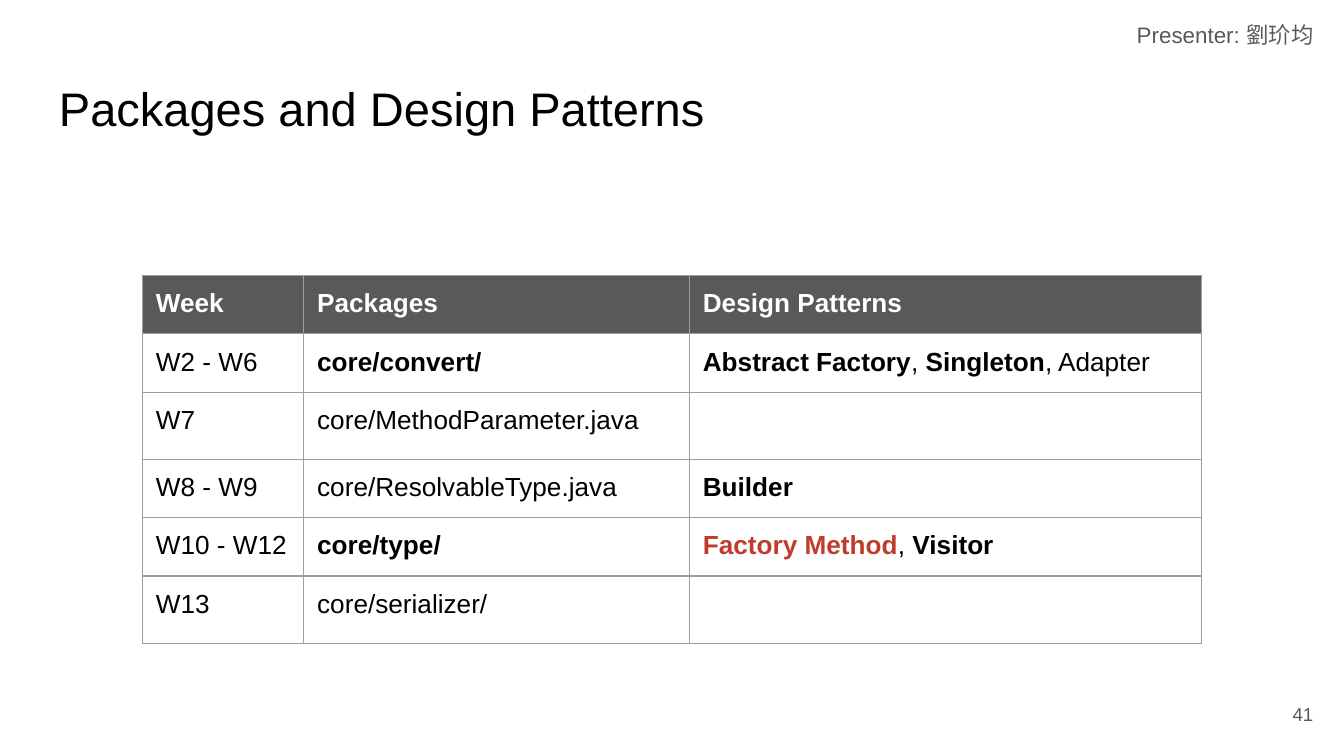
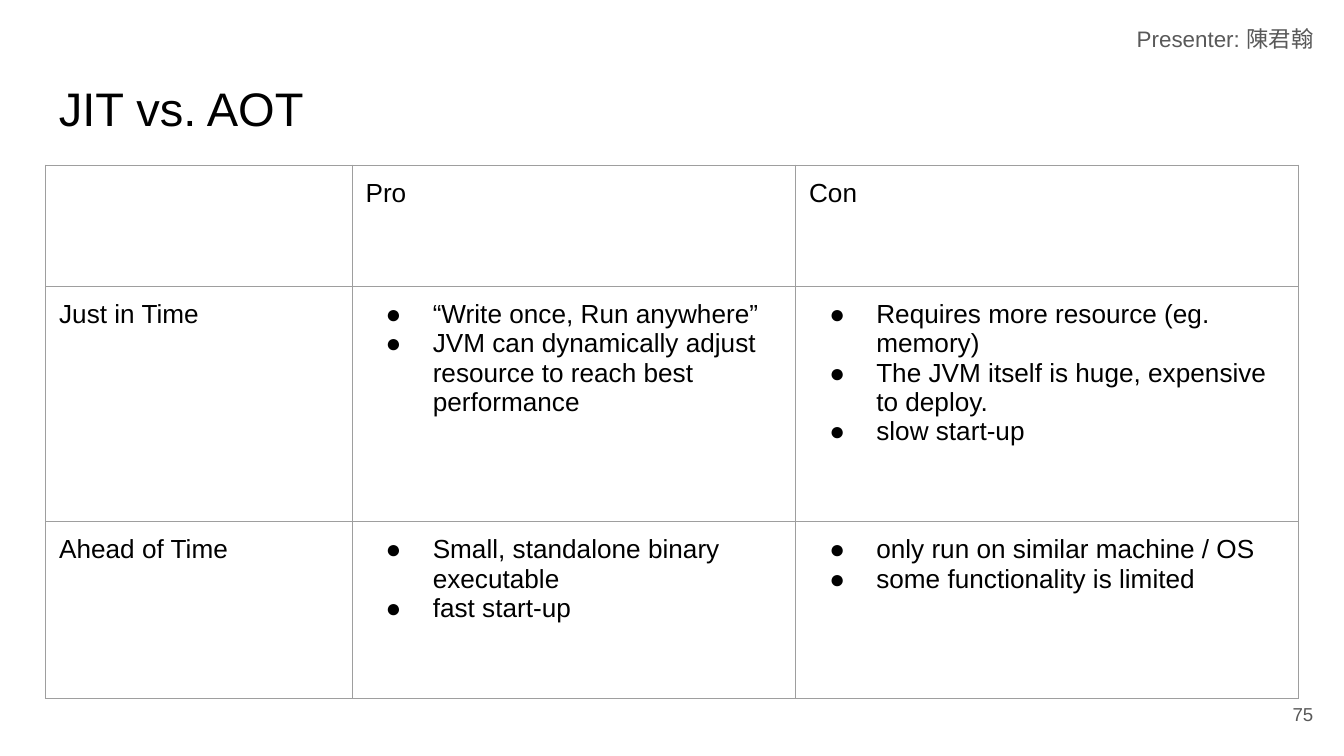
from lxml import etree
from pptx import Presentation
from pptx.dml.color import RGBColor
from pptx.enum import text
from pptx.oxml import ns
from pptx.util import Inches, Pt

# Shared style
FONT = "Arial"
BLACK = RGBColor(0x00, 0x00, 0x00)
WHITE = RGBColor(0xFF, 0xFF, 0xFF)
GRAY = RGBColor(0x59, 0x59, 0x59)
RED = RGBColor(0xBF, 0x3C, 0x2C)
BORDER = RGBColor(0x9E, 0x9E, 0x9E)
MARGIN = Inches(0.1)
TABLE_SIZE = 14
TABLE_FRAME = Inches(3.28)


def style_font(font, size, color=BLACK, bold=False):
    font.name = FONT
    font.size = Pt(size)
    font.bold = bold
    font.color.rgb = color


def add_text(slide, content, box, size, color, align=None, anchor=text.MSO_ANCHOR.TOP):
    """Add a one-paragraph text box and return the paragraph."""
    frame = slide.shapes.add_textbox(*map(Inches, box)).text_frame
    frame.word_wrap = True
    frame.vertical_anchor = anchor
    frame.margin_left = frame.margin_right = MARGIN
    frame.margin_top = frame.margin_bottom = MARGIN
    paragraph = frame.paragraphs[0]
    paragraph.text = content
    paragraph.alignment = align
    style_font(paragraph.runs[0].font, size, color)
    return paragraph


def add_slide(presentation, title, presenter, number):
    """Add a slide with its title, presenter and page number."""
    slide = presentation.slides.add_slide(presentation.slide_layouts[6])
    add_text(slide, title, (0.34, 0.49, 9.32, 0.63), 25.2, BLACK)
    add_text(slide, str(number), (9.27, 5.1, 0.6, 0.43), 10, GRAY,
             text.PP_ALIGN.RIGHT, text.MSO_ANCHOR.MIDDLE)
    presenter_line = add_text(slide, f"Presenter: {presenter}",
                              (8.36, 0.06, 1.64, 0.55), 12, GRAY)
    return slide, presenter_line


def set_borders(cell):
    properties = cell._tc.get_or_add_tcPr()
    for index, side in enumerate(("a:lnL", "a:lnR", "a:lnT", "a:lnB")):
        line = etree.Element(ns.qn(side), w=str(Pt(0.75)))
        fill = etree.SubElement(line, ns.qn("a:solidFill"))
        etree.SubElement(fill, ns.qn("a:srgbClr"), val=str(BORDER))
        properties.insert(index, line)


def add_table(slide, left, top, widths, heights):
    """Add an empty bordered table without banding."""
    frame = slide.shapes.add_table(
        len(heights), len(widths), Inches(left), Inches(top),
        TABLE_FRAME, TABLE_FRAME)
    table = frame.table
    table.first_row = table.horz_banding = False
    for column, width in zip(table.columns, widths):
        column.width = Inches(width)
    for row, height in zip(table.rows, heights):
        row.height = Inches(height)
    # Rows and columns set the drawn size; the frame keeps its nominal one
    frame.width = frame.height = TABLE_FRAME
    for cell in table.iter_cells():
        cell.margin_left = cell.margin_right = MARGIN
        cell.margin_top = cell.margin_bottom = MARGIN
        cell.fill.background()
        set_borders(cell)
    return table


def write_runs(cell, runs):
    """Fill a cell with (text, bold, color) runs on one line."""
    paragraph = cell.text_frame.paragraphs[0]
    for content, bold, color in runs:
        run = paragraph.add_run()
        run.text = content
        style_font(run.font, TABLE_SIZE, color, bold)


def write_bullets(cell, items):
    frame = cell.text_frame
    for index, item in enumerate(items):
        paragraph = frame.add_paragraph() if index else frame.paragraphs[0]
        paragraph.text = item
        properties = paragraph._p.get_or_add_pPr()
        properties.set("marL", str(Inches(0.5)))
        properties.set("indent", str(Inches(-0.35)))
        color = etree.SubElement(properties, ns.qn("a:buClr"))
        etree.SubElement(color, ns.qn("a:srgbClr"), val=str(BLACK))
        etree.SubElement(properties, ns.qn("a:buFont"), typeface=FONT)
        etree.SubElement(properties, ns.qn("a:buChar"), char="●")
        style_font(paragraph.runs[0].font, TABLE_SIZE)


def plain(content):
    return [(content, False, BLACK)]


def bold(content, color=BLACK):
    return [(content, True, color)]


def build_patterns_slide(presentation):
    slide, _ = add_slide(presentation, "Packages and Design Patterns", "劉玠均", 41)
    headings = ["Week", "Packages", "Design Patterns"]
    rows = [
        [plain("W2 - W6"), bold("core/convert/"),
         bold("Abstract Factory") + plain(", ") + bold("Singleton") + plain(", Adapter")],
        [plain("W7"), plain("core/MethodParameter.java"), []],
        [plain("W8 - W9"), plain("core/ResolvableType.java"), bold("Builder")],
        [plain("W10 - W12"), bold("core/type/"),
         bold("Factory Method", RED) + plain(", ") + bold("Visitor")],
        [plain("W13"), plain("core/serializer/"), []],
    ]
    table = add_table(slide, 1.06, 2.05, [1.2, 2.87, 3.81], [0.42] * (len(rows) + 1))
    # Dark heading row
    for column, heading in enumerate(headings):
        cell = table.cell(0, column)
        cell.fill.solid()
        cell.fill.fore_color.rgb = GRAY
        write_runs(cell, bold(heading, WHITE))
    # Weekly packages
    for row, contents in enumerate(rows, 1):
        for column, runs in enumerate(contents):
            write_runs(table.cell(row, column), runs)


def build_comparison_slide(presentation):
    slide, presenter_line = add_slide(presentation, "JIT vs. AOT", "陳君翰", 75)
    presenter_line.line_spacing = 1.15
    presenter_line.space_after = Pt(12)
    table = add_table(slide, 0.34, 1.23, [2.28, 3.3, 3.74], [0.9, 1.75, 1.32])
    # Column headings
    for column, heading in enumerate(["Pro", "Con"], 1):
        write_runs(table.cell(0, column), plain(heading))
    # Pros and cons of each compilation mode
    modes = [
        ("Just in Time",
         ["“Write once, Run anywhere”",
          "JVM can dynamically adjust resource to reach best performance"],
         ["Requires more resource (eg. memory)",
          "The JVM itself is huge, expensive to deploy.",
          "slow start-up"]),
        ("Ahead of Time",
         ["Small, standalone binary executable", "fast start-up"],
         ["only run on similar machine / OS", "some functionality is limited"]),
    ]
    for row, (mode, pros, cons) in enumerate(modes, 1):
        write_runs(table.cell(row, 0), plain(mode))
        write_bullets(table.cell(row, 1), pros)
        write_bullets(table.cell(row, 2), cons)


def main():
    presentation = Presentation()
    # Widescreen, 16:9
    presentation.slide_width = Inches(10)
    presentation.slide_height = Inches(10) * 9 // 16
    build_patterns_slide(presentation)
    build_comparison_slide(presentation)
    presentation.save("out.pptx")


if __name__ == "__main__":
    main()
